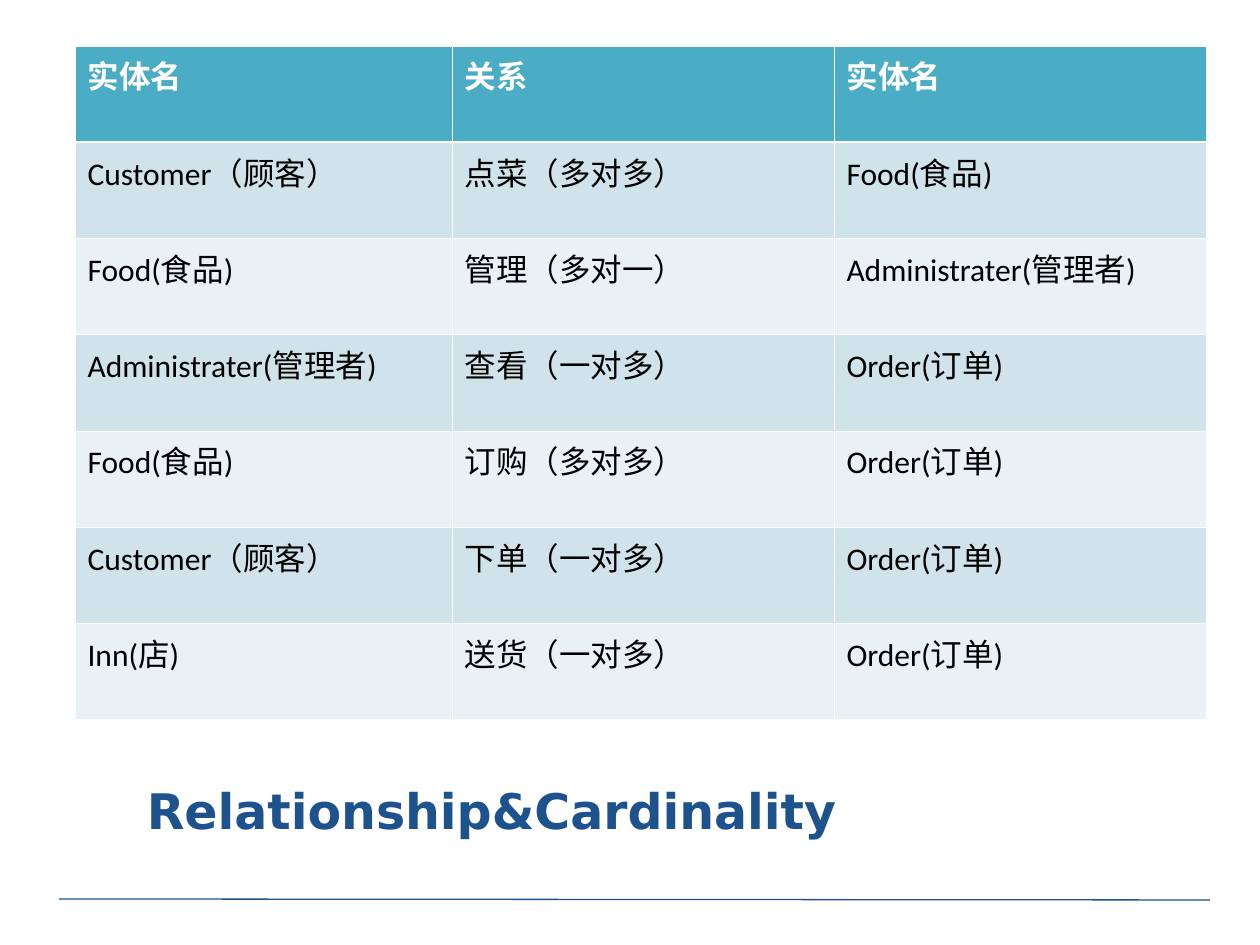
from lxml.etree import SubElement
from pptx import Presentation
from pptx.dml.color import RGBColor
from pptx.enum.shapes import MSO_CONNECTOR as Connector
from pptx.enum.text import MSO_ANCHOR as Anchor, PP_ALIGN as Align
from pptx.oxml.ns import qn
from pptx.util import Emu, Pt

PX = 914400 // 126
NAVY = RGBColor(0x1D, 0x52, 0x8D)
TEAL = RGBColor(0x4B, 0xAC, 0xC6)
PALE_BLUE = RGBColor(0xD0, 0xE3, 0xEA)
PALE_GREY = RGBColor(0xE9, 0xF1, 0xF5)
WHITE = RGBColor(0xFF, 0xFF, 0xFF)
BLACK = RGBColor(0x00, 0x00, 0x00)

TITLE_FONT = {"name": "DejaVu Sans", "size": Pt(28), "bold": True}
HEADER_FONT = {"name": "Calibri", "size": Pt(18), "bold": True}
BODY_FONT = {**HEADER_FONT, "bold": False}
THIN, THICK = Pt(0.45), Pt(1.47)

COLUMN_WIDTHS = [377, 382, 372]
RELATIONSHIPS = [
    ("实体名", "关系", "实体名"),
    ("Customer（顾客）", "点菜（多对多）", "Food(食品)"),
    ("Food(食品)", "管理（多对一）", "Administrater(管理者)"),
    ("Administrater(管理者)", "查看（一对多）", "Order(订单)"),
    ("Food(食品)", "订购（多对多）", "Order(订单)"),
    ("Customer（顾客）", "下单（一对多）", "Order(订单)"),
    ("Inn(店)", "送货（一对多）", "Order(订单)"),
]


def px(*lengths):
    return [Emu(length * PX) for length in lengths]


def write(frame, text, font_values, color):
    paragraph = frame.paragraphs[0]
    run = paragraph.add_run()
    run.text = text
    for name, value in font_values.items():
        setattr(run.font, name, value)
    run.font.color.rgb = color
    return paragraph


def add_borders(cell, widths):
    properties = cell._tc.get_or_add_tcPr()
    for side, width in widths.items():
        border = SubElement(properties, qn(f"a:ln{side}"), w=str(width))
        fill = SubElement(border, qn("a:solidFill"))
        SubElement(fill, qn("a:srgbClr"), val=str(WHITE))


def fill_cell(cell, text, row):
    is_header = row == 0
    add_borders(cell, {
        "L": THIN,
        "R": THIN,
        "T": THICK if row == 1 else THIN,
        "B": THICK if is_header else THIN,
    })
    cell.fill.solid()
    cell.fill.fore_color.rgb = TEAL if is_header else (PALE_GREY, PALE_BLUE)[row % 2]
    font_values, color = (HEADER_FONT, WHITE) if is_header else (BODY_FONT, BLACK)
    write(cell.text_frame, text, font_values, color)


def add_relationship_table(slide):
    table = slide.shapes.add_table(
        len(RELATIONSHIPS), len(COLUMN_WIDTHS),
        *px(75, 46, sum(COLUMN_WIDTHS), 674),
    ).table
    for column, width in zip(table.columns, px(*COLUMN_WIDTHS)):
        column.width = width
    for row, texts in enumerate(RELATIONSHIPS):
        for column, text in enumerate(texts):
            fill_cell(table.cell(row, column), text, row)


def add_title(slide, text):
    frame = slide.shapes.add_textbox(*px(74, 741, 1134, 137)).text_frame
    layout = {
        "word_wrap": True,
        "vertical_anchor": Anchor.MIDDLE,
        "margin_right": Emu(372 * PX),
    }
    for name, value in layout.items():
        setattr(frame, name, value)
    write(frame, text, TITLE_FONT, NAVY).alignment = Align.RIGHT


def add_footer_rule(slide):
    rule = slide.shapes.add_connector(Connector.STRAIGHT, *px(59, 899, 1210, 900))
    rule.line.color.rgb = NAVY
    rule.line.width = Pt(0.75)
    SubElement(rule._element.spPr, qn("a:effectLst"))


def main():
    deck = Presentation()
    deck.slide_width, deck.slide_height = px(1260, 945)
    slide = deck.slides.add_slide(deck.slide_layouts[6])
    add_footer_rule(slide)
    add_title(slide, "Relationship&Cardinality")
    add_relationship_table(slide)
    deck.save("out.pptx")


if __name__ == "__main__":
    main()
